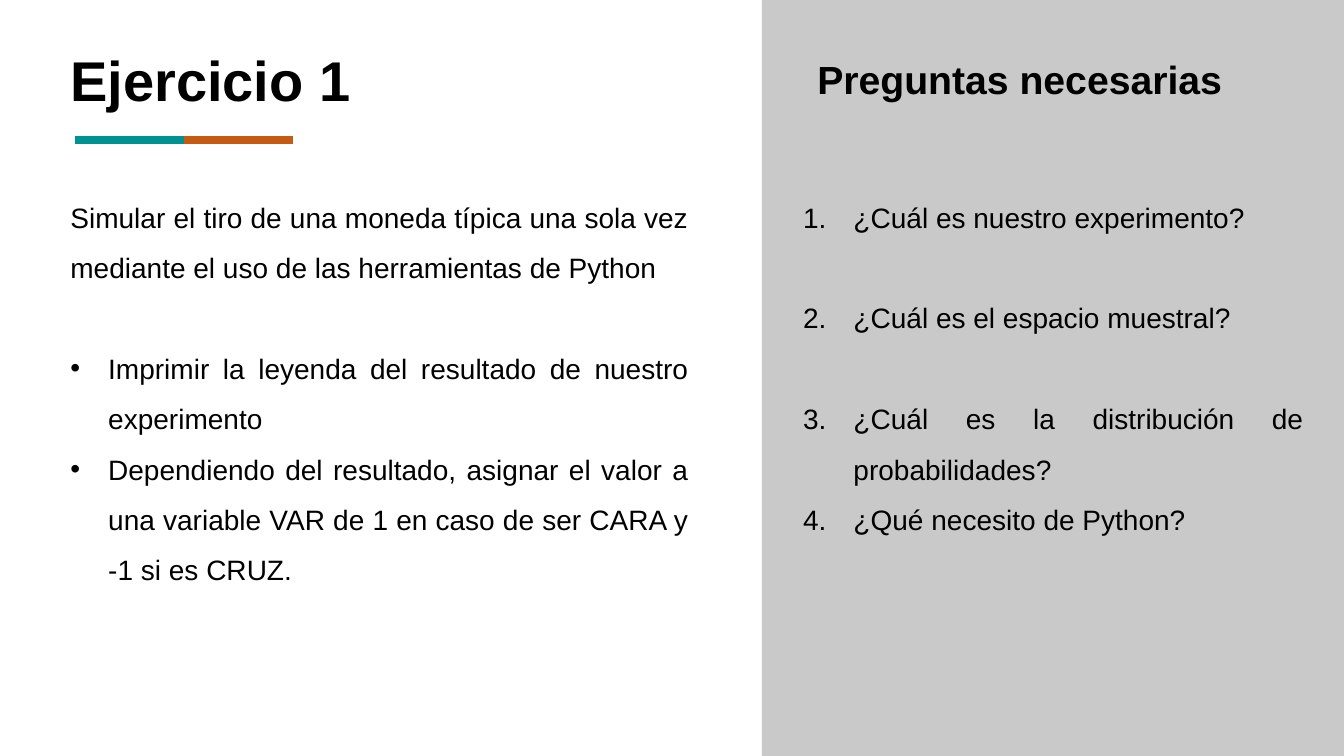
from lxml.etree import SubElement
from pptx import Presentation
from pptx.dml.color import RGBColor
from pptx.enum.shapes import MSO_CONNECTOR, MSO_SHAPE
from pptx.enum.text import MSO_AUTO_SIZE, PP_ALIGN
from pptx.oxml.ns import qn
from pptx.util import Pt

BLACK = RGBColor(0x00, 0x00, 0x00)
GREY = RGBColor(0xC9, 0xC9, 0xC9)
TEAL = RGBColor(0x00, 0x91, 0x93)
ORANGE = RGBColor(0xC5, 0x5A, 0x11)

TITLE = {"size": Pt(40), "bold": True}
HEADING = {"size": Pt(28), "bold": True}
BODY = {"size": Pt(20), "bold": False}
SPACED = {"alignment": PP_ALIGN.JUSTIFY, "line_spacing": 1.5}
GAP = {"space_before": Pt(36)}

BULLET = ("a:buChar", {"char": "•"}, 27)
NUMBER = ("a:buAutoNum", {"type": "arabicPeriod"}, 36)

TASK = [
    ("Simular el tiro de una moneda típica una sola vez mediante el uso de las herramientas de Python", None, {}),
    ("Imprimir la leyenda del resultado de nuestro experimento", BULLET, GAP),
    ("Dependiendo del resultado, asignar el valor a una variable VAR de 1 en caso de ser CARA y -1 si es CRUZ.",
     BULLET, {}),
]
QUESTIONS = [
    ("¿Cuál es nuestro experimento?", NUMBER, {}),
    ("¿Cuál es el espacio muestral?", NUMBER, GAP),
    ("¿Cuál es la distribución de probabilidades?", NUMBER, GAP),
    ("¿Qué necesito de Python?", NUMBER, {}),
]


def apply_format(target, values):
    """Set every attribute named in a dict of format values."""
    for name, value in values.items():
        setattr(target, name, value)


def add_marker(para, marker):
    """Give a paragraph a hanging bullet or number."""
    tag, attributes, indent = marker
    properties = para._p.get_or_add_pPr()
    properties.set("marL", str(Pt(indent)))
    properties.set("indent", str(-Pt(indent)))
    SubElement(properties, qn("a:buFont"), typeface="Arial")
    SubElement(properties, qn(tag), attributes)


def add_text(page, frame, entries, font, layout, wrap=True):
    """Add a text box with one paragraph per entry."""
    box = page.shapes.add_textbox(*map(Pt, frame))
    text = box.text_frame
    apply_format(text, {"word_wrap": wrap, "auto_size": MSO_AUTO_SIZE.SHAPE_TO_FIT_TEXT})
    for index, (words, marker, spacing) in enumerate(entries):
        para = text.add_paragraph() if index else text.paragraphs[0]
        apply_format(para, {**layout, **spacing})
        if marker:
            add_marker(para, marker)
        span = para.add_run()
        span.text = words
        apply_format(span.font, {"name": "Arial", **font})
        span.font.color.rgb = BLACK


def add_panel(page, frame, color):
    """Add a plain filled rectangle."""
    panel = page.shapes.add_shape(MSO_SHAPE.RECTANGLE, *map(Pt, frame))
    panel.shadow.inherit = False
    panel.fill.solid()
    panel.fill.fore_color.rgb = color
    panel.line.fill.background()


def add_rule(page, left, top, length, color):
    """Add a thick horizontal line without shadow."""
    rule = page.shapes.add_connector(MSO_CONNECTOR.STRAIGHT, *map(Pt, (left, top, left + length, top)))
    rule.line.width = Pt(6)
    rule.line.color.rgb = color
    SubElement(rule._element.spPr, qn("a:effectLst"))


def main():
    """Build the exercise slide and save it."""
    deck = Presentation()
    apply_format(deck, {"slide_width": Pt(960), "slide_height": Pt(540)})
    page = deck.slides.add_slide(deck.slide_layouts[6])
    add_panel(page, (544.2, 0, 415.8, 540), GREY)
    add_text(page, (43.2, 28.8, 216.7, 55.4), [("Ejercicio 1", None, {})], TITLE, {}, wrap=False)
    add_text(page, (43.2, 127.4, 455.8, 294.5), TASK, BODY, SPACED)
    for index, color in enumerate((TEAL, ORANGE)):
        add_rule(page, 53.4 + index * 77.8, 100.1, 77.8, color)
    add_text(page, (566.6, 127.4, 371.5, 258.5), QUESTIONS, BODY, SPACED)
    add_text(page, (576.7, 19.4, 360, 53.3), [("Preguntas necesarias", None, {})], HEADING, SPACED)
    deck.save("out.pptx")


if __name__ == "__main__":
    main()
